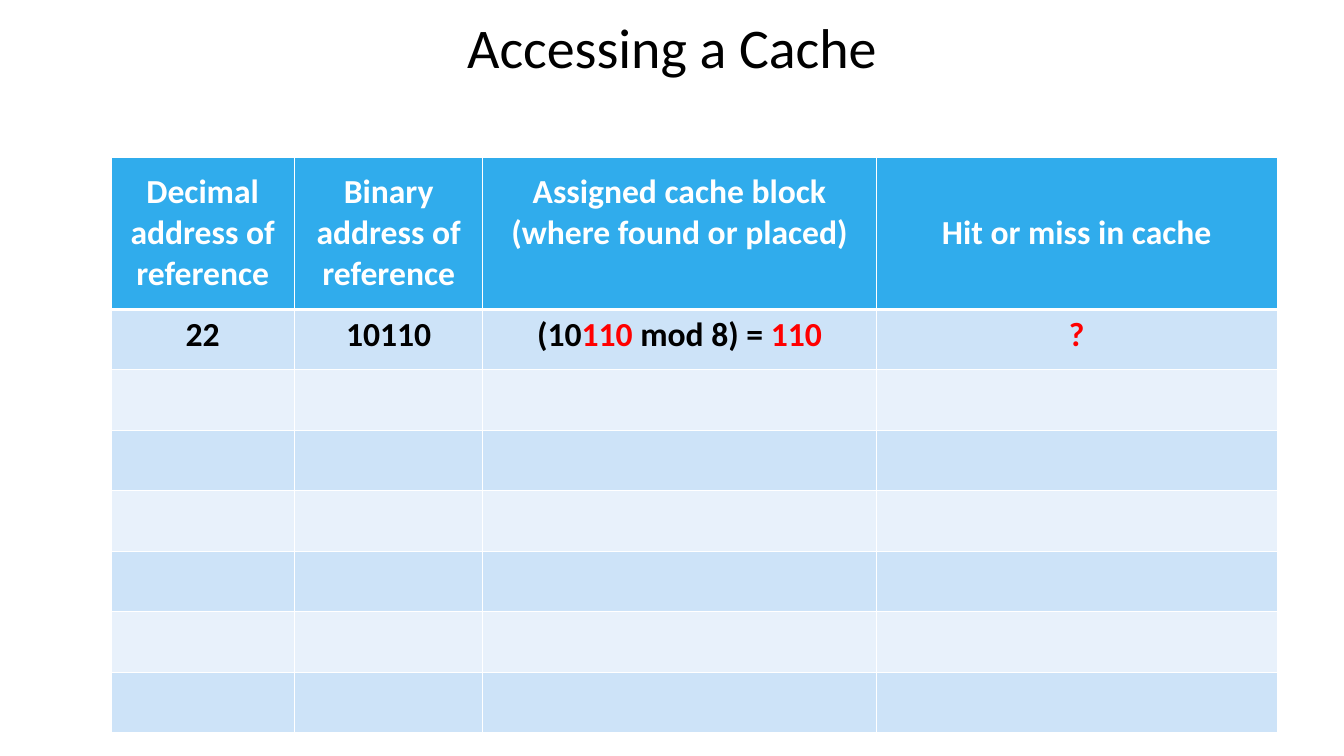
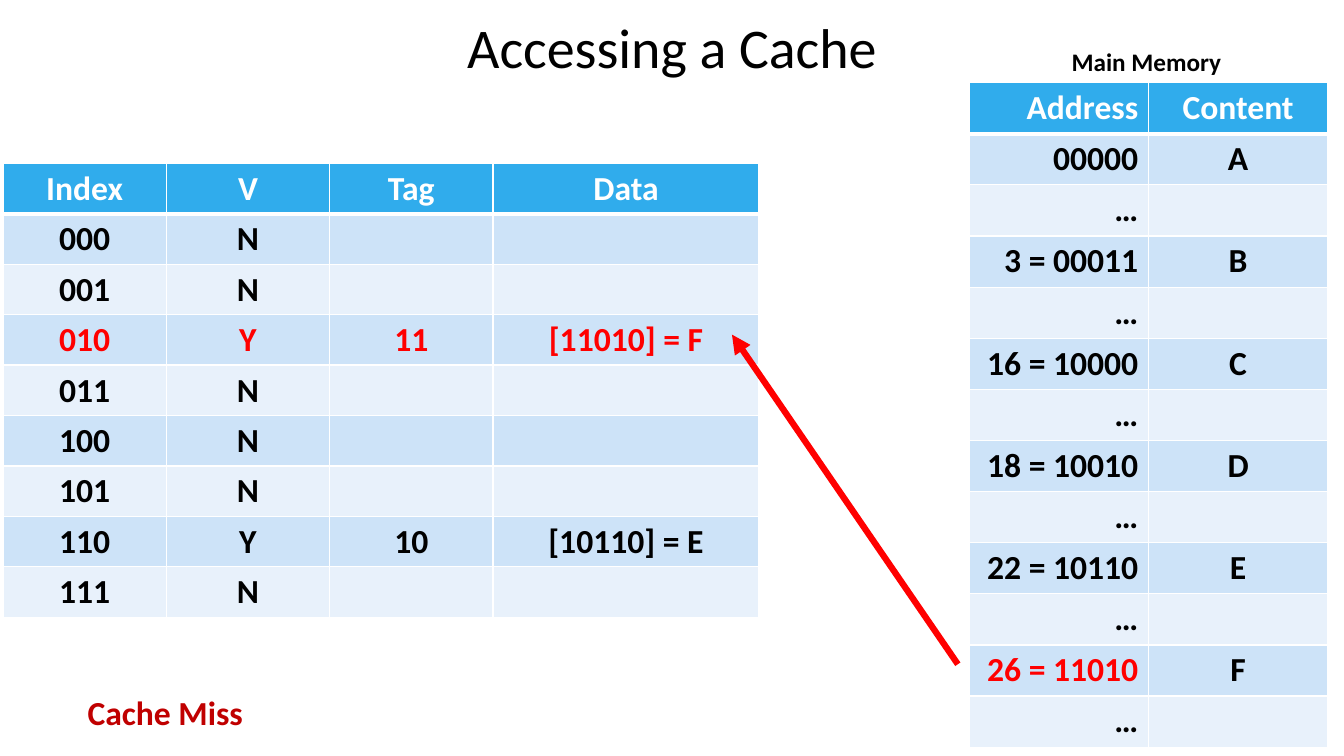
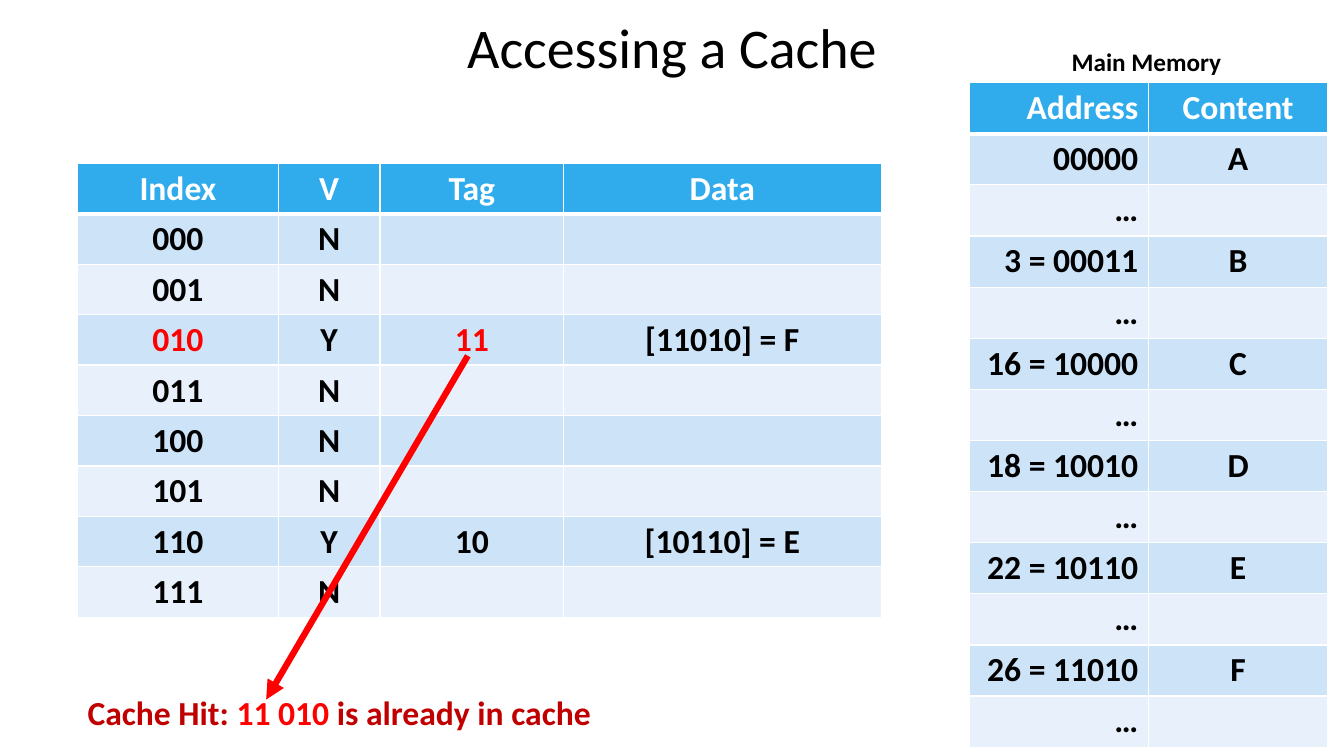
from lxml import etree
from pptx import Presentation
from pptx.dml.color import RGBColor
from pptx.enum.shapes import MSO_CONNECTOR
from pptx.enum.text import MSO_ANCHOR, MSO_AUTO_SIZE, PP_ALIGN
from pptx.oxml.ns import qn
from pptx.util import Inches, Pt

STRAIGHT = MSO_CONNECTOR.STRAIGHT
TOP, MIDDLE = MSO_ANCHOR.TOP, MSO_ANCHOR.MIDDLE
LEFT, CENTER, RIGHT = PP_ALIGN.LEFT, PP_ALIGN.CENTER, PP_ALIGN.RIGHT
FIT_SHAPE = MSO_AUTO_SIZE.SHAPE_TO_FIT_TEXT
FONT = "Calibri"
TITLE_ONLY = 5
COLORS = {
    "black": "000000",
    "white": "FFFFFF",
    "red": "FF0000",
    "dark red": "C00000",
    "header": "30ACEC",
    "odd band": "CDE3F8",
    "even band": "E8F1FB",
}
BIT_PATTERNS = [f"{number:03b}" for number in range(8)]
CACHE_LINES = {"010": ["Y", "11", "[11010] = F"], "110": ["Y", "10", "[10110] = E"]}
MEMORY_WORDS = {
    "00000": "A",
    "3 = 00011": "B",
    "16 = 10000": "C",
    "18 = 10010": "D",
    "22 = 10110": "E",
    "26 = 11010": "F",
}


def rgb(name):
    """Return the named colour."""
    return RGBColor.from_string(COLORS[name])


def write(frame, text, size=24, color="black", bold=True, align=LEFT):
    """Write a string, or a list of (text, colour) runs, as one paragraph."""
    runs = [(text, color)] if isinstance(text, str) else text
    paragraph = frame.paragraphs[0]
    paragraph.alignment = align
    for content, run_color in runs:
        run = paragraph.add_run()
        run.text = content
        run.font.name = FONT
        run.font.size = Pt(size)
        run.font.bold = bold
        run.font.color.rgb = rgb(run_color)


def add_title(slide, text):
    """Fill the title placeholder across the top of the slide."""
    title = slide.shapes.title
    title.left, title.top = Inches(0), Inches(0)
    title.width, title.height = Inches(13.33), Inches(0.92)
    title.text_frame.vertical_anchor = MIDDLE
    write(title.text_frame, text, size=40, bold=False, align=CENTER)


def add_label(slide, text, left, top, width, height, **text_format):
    """Add a one-line text box."""
    box = slide.shapes.add_textbox(Inches(left), Inches(top), Inches(width), Inches(height))
    box.text_frame.word_wrap = False
    box.text_frame.auto_size = FIT_SHAPE
    write(box.text_frame, text, **text_format)


def add_arrow(slide, start, end):
    """Add a thick red arrow between two points."""
    arrow = slide.shapes.add_connector(STRAIGHT, *(Inches(value) for value in start + end))
    arrow.line.color.rgb = rgb("red")
    arrow.line.width = Pt(4.5)
    line = arrow.line._get_or_add_ln()
    etree.SubElement(line, qn("a:tailEnd"), type="triangle")
    etree.SubElement(arrow._element.spPr, qn("a:effectLst"))


def add_borders(cell, row_index):
    """Draw white cell borders, thicker between header and body."""
    properties = cell._tc.get_or_add_tcPr()
    thick_side = {0: "lnB", 1: "lnT"}.get(row_index)
    for side in ("lnL", "lnR", "lnT", "lnB"):
        width = Pt(3 if side == thick_side else 1)
        border = etree.SubElement(properties, qn(f"a:{side}"), w=str(width))
        fill = etree.SubElement(border, qn("a:solidFill"))
        etree.SubElement(fill, qn("a:srgbClr"), val=COLORS["white"])


def add_grid(slide, rows, left, top, widths, row_height, header_height=None,
             header_anchor=TOP, alignments=None, red_cells=()):
    """Add a banded table, its first row being the header, and return it."""
    heights = [header_height or row_height] + [row_height] * (len(rows) - 1)
    alignments = alignments or [CENTER] * len(widths)
    frame = slide.shapes.add_table(len(rows), len(widths), Inches(left), Inches(top),
                                   Inches(sum(widths)), Inches(sum(heights)))
    table = frame.table
    for column, width in zip(table.columns, widths):
        column.width = Inches(width)
    for row_index, (texts, height) in enumerate(zip(rows, heights)):
        table.rows[row_index].height = Inches(height)
        band = "odd band" if row_index % 2 else "even band"
        for column_index, text in enumerate(texts):
            cell = table.cell(row_index, column_index)
            add_borders(cell, row_index)
            cell.fill.solid()
            cell.fill.fore_color.rgb = rgb(band if row_index else "header")
            cell.vertical_anchor = TOP if row_index else header_anchor
            color = "red" if (row_index, column_index) in red_cells else "black"
            if text:
                write(cell.text_frame, text, color=color if row_index else "white",
                      align=alignments[column_index])
    return table


def add_references(slide, left, top):
    """Add the table of memory references."""
    block = [("(10", "black"), ("110", "red"), (" mod 8) = ", "black"), ("110", "red")]
    rows = [
        ["Decimal address of reference", "Binary address of reference",
         "Assigned cache block (where found or placed)", "Hit or miss in cache"],
        ["22", "10110", block, "?"],
    ] + [[""] * 4] * 6
    table = add_grid(slide, rows, left, top, [1.82, 1.87, 3.9, 3.98], 0.6,
                     header_height=1.51, header_anchor=MIDDLE, red_cells={(1, 3)})
    table.cell(0, 2).margin_bottom = Inches(0.46)


def add_memory(slide, left, top, red_cells=()):
    """Add the main memory table with its caption above."""
    rows = [["Address", "Content"]]
    for address, content in MEMORY_WORDS.items():
        rows += [[address, content], ["…", ""]]
    add_grid(slide, rows, left, top, [1.78, 1.78], 0.5,
             alignments=[RIGHT, CENTER], red_cells=red_cells)
    add_label(slide, "Main Memory", left + 0.92, top - 0.41, 1.71, 0.4, size=18)


def add_cache(slide, left, top, widths, red_cells):
    """Add the cache table."""
    rows = [["Index", "V", "Tag", "Data"]]
    rows += [[index] + CACHE_LINES.get(index, ["N", "", ""]) for index in BIT_PATTERNS]
    add_grid(slide, rows, left, top, widths, 0.5, red_cells=red_cells)


def add_outcome(slide, text, width):
    """Add the hit or miss verdict at the bottom left."""
    add_label(slide, text, 0.77, 6.82, width, 0.5, color="dark red")


def build_reference_slide(slide):
    """Build the slide that lists the references."""
    add_references(slide, 1.1, 1.56)


def build_miss_slide(slide):
    """Build the slide on a cache miss."""
    add_memory(slide, 9.61, 0.82, red_cells={(11, 0)})
    add_cache(slide, 0.03, 1.62, [1.62, 1.62, 1.62, 2.64],
              red_cells={(3, column) for column in range(4)})
    add_outcome(slide, "Cache Miss", 1.8)
    add_arrow(slide, (9.5, 6.59), (7.26, 3.32))


def build_hit_slide(slide):
    """Build the slide on a cache hit."""
    add_memory(slide, 9.61, 0.82)
    add_cache(slide, 0.77, 1.62, [1.99, 1.01, 1.82, 3.15], red_cells={(3, 0), (3, 2)})
    verdict = [("Cache Hit: ", "dark red"), ("11 010", "red"),
               (" is already in cache", "dark red")]
    add_outcome(slide, verdict, 5.37)
    add_arrow(slide, (4.64, 3.53), (2.64, 6.94))


def main():
    """Build and save the presentation."""
    presentation = Presentation()
    presentation.slide_width, presentation.slide_height = Inches(13.33), Inches(7.5)
    for build in (build_reference_slide, build_miss_slide, build_hit_slide):
        slide = presentation.slides.add_slide(presentation.slide_layouts[TITLE_ONLY])
        add_title(slide, "Accessing a Cache")
        build(slide)
    presentation.save("out.pptx")


if __name__ == "__main__":
    main()
